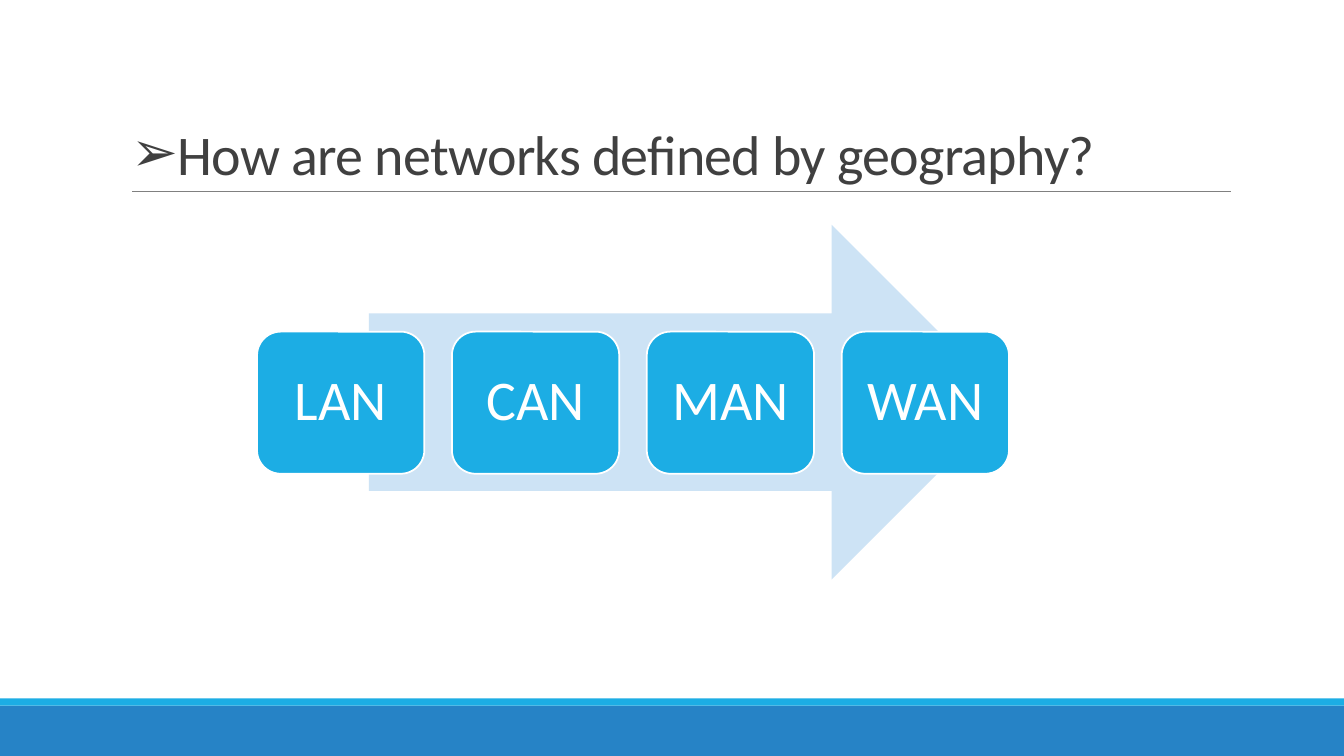
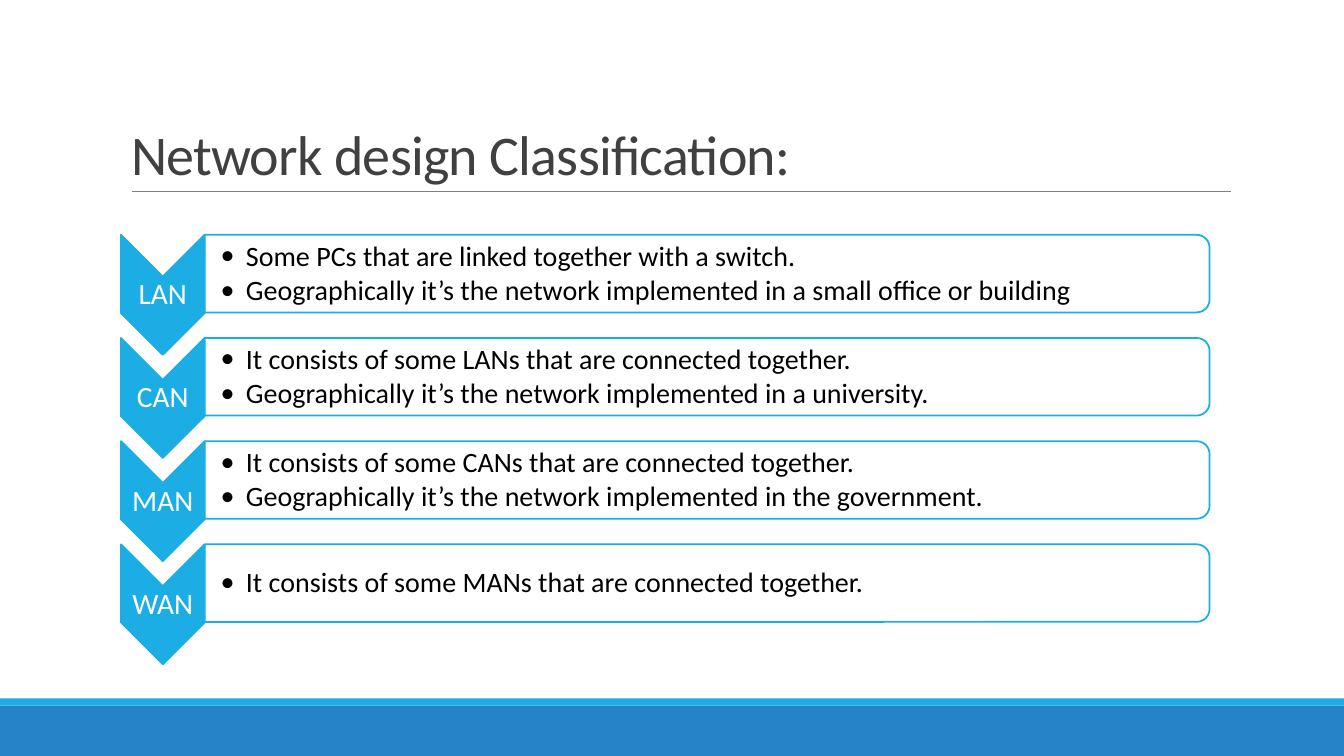
from lxml import etree
from pptx import Presentation
from pptx.dml.color import RGBColor
from pptx.enum.shapes import MSO_CONNECTOR, MSO_SHAPE
from pptx.enum.text import MSO_ANCHOR, MSO_AUTO_SIZE, PP_ALIGN
from pptx.oxml.ns import qn
from pptx.util import Inches, Pt

RECT, ROUND = MSO_SHAPE.RECTANGLE, MSO_SHAPE.ROUNDED_RECTANGLE
ARROW, CHEVRON = MSO_SHAPE.RIGHT_ARROW, MSO_SHAPE.CHEVRON
PANEL = MSO_SHAPE.ROUND_2_SAME_RECTANGLE
STRAIGHT = MSO_CONNECTOR.STRAIGHT
LEFT, CENTER = PP_ALIGN.LEFT, PP_ALIGN.CENTER
MIDDLE, BOTTOM = MSO_ANCHOR.MIDDLE, MSO_ANCHOR.BOTTOM

C = {"blue": "2683C6", "cyan": "1CADE4", "pale": "CDE3F5", "rule": "808080",
     "title": "404040", "white": "FFFFFF", "black": "000000"}
FONT = "Calibri"
COLS, ROWS = 160, 90

prs = Presentation()
prs.slide_width, prs.slide_height = Inches(13.33), Inches(7.5)
CW, RH = prs.slide_width / COLS, prs.slide_height / ROWS


def add(s, kind, x, y, w, h, fill, line=None, turned=False):
    cx, cy, w, h = (x + w / 2) * CW, (y + h / 2) * RH, w * CW, h * RH
    if turned:
        w, h = h, w
    sp = s.shapes.add_shape(kind, int(cx - w / 2), int(cy - h / 2), int(w), int(h))
    sp.rotation = 90 if turned else 0
    sp.shadow.inherit = False
    sp.fill.solid()
    sp.fill.fore_color.rgb = RGBColor.from_string(C[fill])
    if line:
        sp.line.color.rgb = RGBColor.from_string(C[line])
        sp.line.width = Pt(1.25)
    else:
        sp.line.fill.background()
    return sp


def write(tf, lines, size, color, align=CENTER, anchor=MIDDLE, spacing=0.9,
          after=0, insets=(0.01, 0.01), bullet=None, indent=0):
    tf.word_wrap, tf.auto_size, tf.vertical_anchor = True, MSO_AUTO_SIZE.NONE, anchor
    left, other = insets
    margins = {"margin_left": left, "margin_right": other,
               "margin_top": other, "margin_bottom": other}
    for name, value in margins.items():
        setattr(tf, name, Inches(value))
    for i, text in enumerate(lines):
        p = tf.add_paragraph() if i else tf.paragraphs[0]
        p.alignment, p.line_spacing, p.space_after = align, spacing, Pt(after)
        r = p.add_run()
        r.text = text
        for name, value in {"name": FONT, "size": Pt(size)}.items():
            setattr(r.font, name, value)
        r.font.color.rgb = RGBColor.from_string(C[color])
        if bullet:
            pPr = p._p.get_or_add_pPr()
            pPr.set("marL", str(Inches(indent)))
            pPr.set("indent", str(-Inches(indent)))
            etree.SubElement(pPr, qn("a:buFont")).set("typeface", FONT)
            etree.SubElement(pPr, qn("a:buChar")).set("char", bullet)


layout = prs.slide_layouts[5]
titles = [("How are networks defined by geography?", "➢"),
          ("Network design Classification:", None)]
for title, bullet in titles:
    s = prs.slides.add_slide(layout)
    add(s, RECT, 0, 84, COLS, 6, "blue")
    add(s, RECT, 0, 83.16, COLS, 0.84, "cyan")
    rule = s.shapes.add_connector(STRAIGHT, int(15.72 * CW), int(22.8 * RH),
                                  int(146.52 * CW), int(22.8 * RH))
    rule.line.color.rgb = RGBColor.from_string(C["rule"])
    rule.line.width = Pt(0.5)
    etree.SubElement(rule.element.spPr, qn("a:effectLst"))
    t = s.shapes.title
    box = {"left": 14.4 * CW, "top": 3.72 * RH, "width": 132 * CW, "height": 19.08 * RH}
    for name, value in box.items():
        setattr(t, name, int(value))
    write(t.text_frame, [title], 40, "title", LEFT, BOTTOM, 0.85,
          insets=(0.1, 0.05), bullet=bullet)
    t.text_frame.paragraphs[0].runs[0].font._element.set("spc", "-50")

geography, classification = prs.slides

networks = {
    "LAN": ["Some PCs that are linked together with a switch.",
            "Geographically it’s the network implemented in a small office or building"],
    "CAN": ["It consists of some LANs that are connected together.",
            "Geographically it’s the network implemented in a university."],
    "MAN": ["It consists of some CANs that are connected together.",
            "Geographically it’s the network implemented in the government."],
    "WAN": ["It consists of some MANs that are connected together."],
}

add(geography, ARROW, 43.92, 26.76, 76.2, 42.24, "pale")
for i, name in enumerate(networks):
    sp = add(geography, ROUND, 30.6 + i * 23.2, 39.48, 19.92, 16.92, "cyan", "white")
    write(sp.text_frame, [name], 40, "white", insets=(0.17, 0.17))

s = classification
for i, (name, facts) in enumerate(networks.items()):
    y = 27.96 + i * 12.28
    add(s, CHEVRON, 14.4, y, 9.96, 14.28, "cyan", "cyan", turned=True)
    panel = add(s, PANEL, 24.36, y, 119.64, 9.24, "white", "cyan", turned=True)
    color = panel.element.spPr.find(qn("a:solidFill")).find(qn("a:srgbClr"))
    etree.SubElement(color, qn("a:alpha")).set("val", "90000")
    label = s.shapes.add_textbox(int(14.4 * CW), int((y + 5.04) * RH),
                                 int(9.96 * CW), int(4.32 * RH))
    write(label.text_frame, [name], 21, "white")
    body = s.shapes.add_textbox(int(24.36 * CW), int((y + 0.48) * RH),
                                int(119.16 * CW), int(8.4 * RH))
    write(body.text_frame, facts, 20, "black", LEFT, after=3,
          insets=(0.16, 0.01), bullet="•", indent=0.25)

prs.save("out.pptx")
